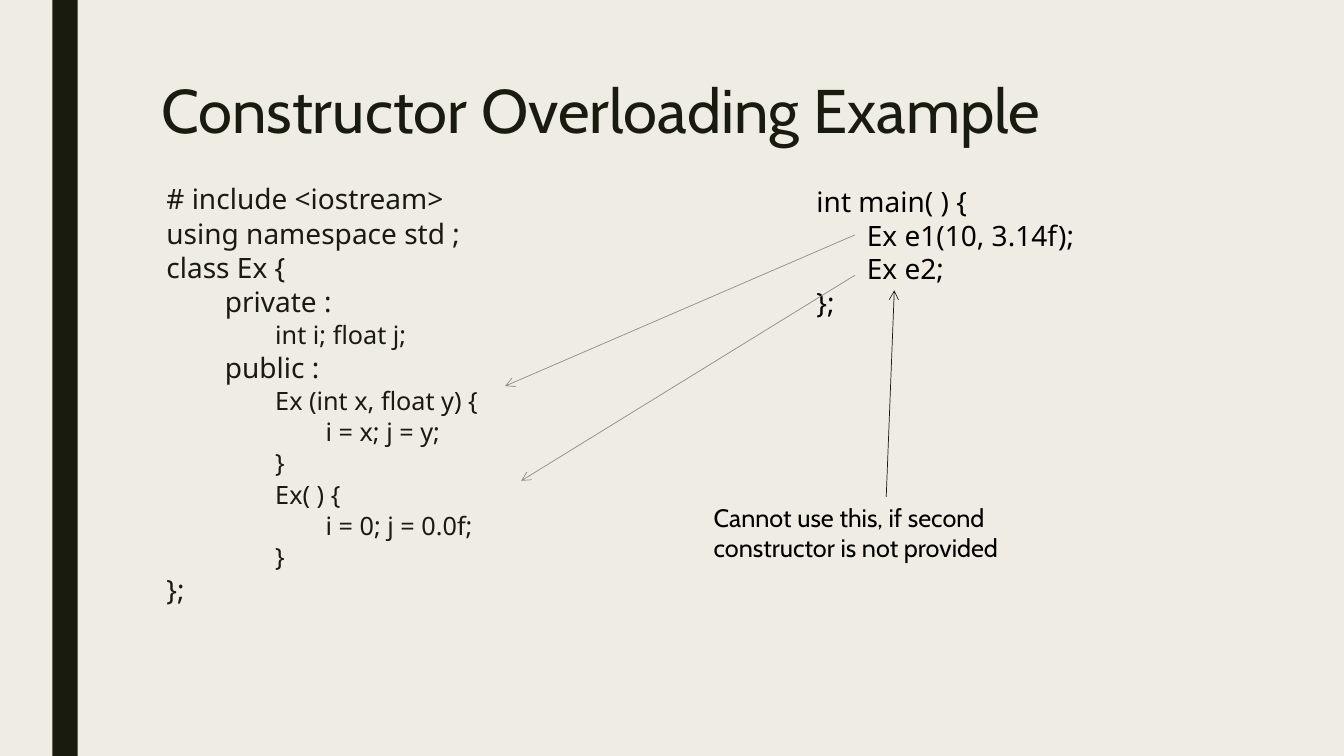
from lxml.etree import SubElement
from pptx import Presentation
from pptx.dml.color import RGBColor
from pptx.enum.shapes import MSO_CONNECTOR, MSO_SHAPE
from pptx.enum.text import MSO_ANCHOR, MSO_AUTO_SIZE, PP_ALIGN
from pptx.oxml.ns import qn
from pptx.util import Inches, Pt

CREAM = RGBColor(0xEF, 0xED, 0xE3)
OLIVE = RGBColor(0x19, 0x1B, 0x0E)
GREY = RGBColor(0x8C, 0x8D, 0x86)
BLACK = RGBColor(0, 0, 0)
HEADING_FONT = "Cabin"
CODE_FONT = "Noto Sans"
INDENT = 0.5

# Each line of code: indent level, text
CLASS_CODE = [
    (0, "# include <iostream>"),
    (0, "using namespace std ;"),
    (0, "class Ex {"),
    (1, "private :"),
    (2, "int i; float j;"),
    (1, "public :"),
    (2, "Ex (int x, float y) {"),
    (3, "i = x; j = y;"),
    (2, "}"),
    (2, "Ex( ) {"),
    (3, "i = 0; j = 0.0f;"),
    (2, "}"),
    (0, "};"),
]
MAIN_CODE = [(0, "int main( ) {"), (1, "Ex e1(10, 3.14f);"), (1, "Ex e2;"), (0, "};")]


def place(shape, box):
    shape.left, shape.top, shape.width, shape.height = map(Inches, box)


def prepare_frame(shape):
    frame = shape.text_frame
    frame.word_wrap = True
    frame.auto_size = MSO_AUTO_SIZE.NONE
    frame.vertical_anchor = MSO_ANCHOR.TOP
    return frame


def format_para(para, font_name, size, color, spacing=1.0, after=0):
    para.alignment = PP_ALIGN.LEFT
    para.line_spacing = spacing
    para.space_before = Pt(0)
    para.space_after = Pt(after)
    for span in para.runs:
        span.font.name = font_name
        span.font.size = Pt(size)
        span.font.color.rgb = color


def add_side_bar(page, box):
    bar = page.shapes.add_shape(MSO_SHAPE.RECTANGLE, *map(Inches, box))
    bar.shadow.inherit = False
    bar.fill.solid()
    bar.fill.fore_color.rgb = OLIVE
    bar.line.fill.background()


def fill_title(page, box):
    title = page.shapes.title
    place(title, box)
    frame = prepare_frame(title)
    frame.text = "Constructor Overloading Example"
    format_para(frame.paragraphs[0], HEADING_FONT, 44, OLIVE, 0.89)


def fill_code(shape, code, color, spacing=1.0, after=0, first_indent=INDENT):
    """Write code lines; levels from the second on are set in smaller type."""
    frame = prepare_frame(shape)
    frame.text = "\n".join(text for _, text in code)
    for para, (level, _) in zip(frame.paragraphs, code):
        para.level = level
        format_para(para, CODE_FONT, 18 if level > 1 else 20, color, spacing, after)
        indent = first_indent + (level - 1) * INDENT if level else 0
        properties = para._p.get_or_add_pPr()
        properties.set("marL", str(Inches(indent)))
        properties.set("indent", "0")
        SubElement(properties, qn("a:buNone"))


def fill_class_code(page, box):
    body = page.placeholders[1]
    place(body, box)
    fill_code(body, CLASS_CODE, OLIVE, spacing=0.94, after=2, first_indent=0.58)


def add_main_code(page, box):
    main_code = page.shapes.add_textbox(*map(Inches, box))
    fill_code(main_code, MAIN_CODE, BLACK)


def add_remark(page, box):
    frame = prepare_frame(page.shapes.add_textbox(*map(Inches, box)))
    frame.text = "Cannot use this, if second constructor is not provided"
    format_para(frame.paragraphs[0], HEADING_FONT, 18, BLACK)


def add_arrow(page, start, end, color):
    arrow = page.shapes.add_connector(MSO_CONNECTOR.STRAIGHT, *map(Inches, start + end))
    arrow.line.color.rgb = color
    arrow.line.width = Pt(0.5)
    SubElement(arrow.line._get_or_add_ln(), qn("a:tailEnd"), type="arrow")
    SubElement(arrow._element.spPr, qn("a:effectLst"))


def build_page(deck):
    page = deck.slides.add_slide(deck.slide_layouts[1])
    page.background.fill.solid()
    page.background.fill.fore_color.rgb = CREAM
    add_side_bar(page, (0.52, 0, 0.25, 7.5))
    fill_title(page, (1.5, 0.75, 10.5, 0.87))
    fill_class_code(page, (1.55, 1.78, 5.25, 4.79))
    add_main_code(page, (8.0, 1.78, 3.4, 1.75))
    add_arrow(page, (8.48, 2.73), (5.17, 4.77), GREY)
    add_arrow(page, (8.48, 2.33), (5.01, 3.83), GREY)
    add_remark(page, (6.98, 4.93, 3.62, 0.71))
    add_arrow(page, (8.79, 4.93), (8.87, 2.88), OLIVE)


def main():
    deck = Presentation()
    deck.slide_width, deck.slide_height = Inches(13.33), Inches(7.5)
    build_page(deck)
    deck.save("out.pptx")


if __name__ == "__main__":
    main()
